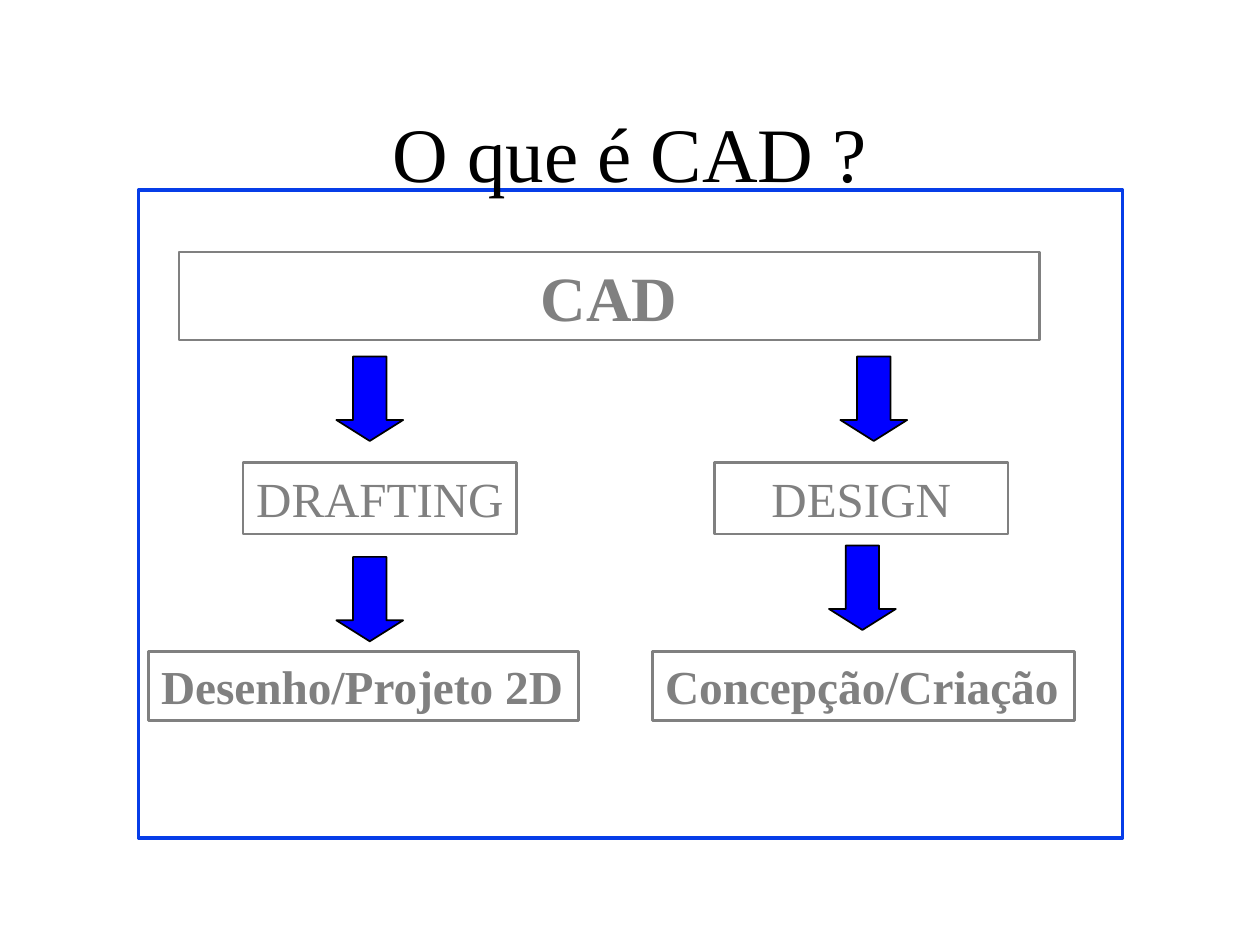
from dataclasses import dataclass

from pptx import Presentation
from pptx.dml.color import RGBColor
from pptx.enum.shapes import MSO_SHAPE
from pptx.enum.text import MSO_ANCHOR, MSO_AUTO_SIZE, PP_ALIGN
from pptx.util import Inches, Pt


@dataclass(frozen=True)
class Theme:
    font: str = "Times New Roman"
    black: RGBColor = RGBColor(0x00, 0x00, 0x00)
    gray: RGBColor = RGBColor(0x80, 0x80, 0x80)
    frame: RGBColor = RGBColor(0x06, 0x3D, 0xE8)
    arrow: RGBColor = RGBColor(0x00, 0x00, 0xFF)
    title_size: int = 44
    root_size: int = 36
    branch_size: int = 28
    detail_size: int = 27


THEME = Theme()


def set_line(shape, color, width):
    shape.line.color.rgb = color
    shape.line.width = Pt(width)


def add_text(page, bounds, text, size, color, bold=False,
             align=PP_ALIGN.CENTER, wrap=True):
    box = page.shapes.add_textbox(*map(Inches, bounds))
    frame = box.text_frame
    frame.word_wrap = wrap
    para = frame.paragraphs[0]
    para.alignment = align
    span = para.add_run()
    span.text = text
    span.font.name = THEME.font
    span.font.size = Pt(size)
    span.font.bold = bold
    span.font.color.rgb = color
    return box


def add_label(page, bounds, text, size, **style):
    """Add gray text in a gray outline that fits its text."""
    box = add_text(page, bounds, text, size, THEME.gray, **style)
    box.text_frame.auto_size = MSO_AUTO_SIZE.SHAPE_TO_FIT_TEXT
    set_line(box, THEME.gray, 1.5)


def add_frame(page):
    frame = page.shapes.add_shape(
        MSO_SHAPE.RECTANGLE, *map(Inches, (1.1, 1.51, 7.81, 5.14)))
    frame.shadow.inherit = False
    frame.fill.background()
    set_line(frame, THEME.frame, 2)


def add_down_arrow(page, left, top):
    arrow = page.shapes.add_shape(
        MSO_SHAPE.DOWN_ARROW, *map(Inches, (left, top, 0.53, 0.67)))
    arrow.adjustments[0] = 0.5
    arrow.adjustments[1] = 0.314
    arrow.shadow.inherit = False
    arrow.fill.solid()
    arrow.fill.fore_color.rgb = THEME.arrow
    set_line(arrow, THEME.black, 1)


def add_branch(page, name, name_span, detail, detail_span, arrows, wrap_name):
    """Add one column; each span is a left edge and a width."""
    left, width = name_span
    add_label(page, (left, 3.67, width, 0.57), name, THEME.branch_size,
              wrap=wrap_name)
    left, width = detail_span
    add_label(page, (left, 5.17, width, 0.55), detail, THEME.detail_size,
              bold=True, align=PP_ALIGN.LEFT, wrap=False)
    for position in arrows:
        add_down_arrow(page, *position)


def main():
    deck = Presentation()
    deck.slide_width, deck.slide_height = Inches(10), Inches(7.5)
    page = deck.slides.add_slide(deck.slide_layouts[6])

    add_frame(page)
    add_label(page, (1.42, 2, 6.83, 0.7), "CAD", THEME.root_size, bold=True)
    add_branch(page, "DESIGN", (5.67, 2.33), "Concepção/Criação", (5.18, 3.35),
               [(6.67, 2.83), (6.58, 4.33)], wrap_name=True)
    add_branch(page, "DRAFTING", (1.93, 2.17), "Desenho/Projeto 2D", (1.18, 3.41),
               [(2.67, 2.83), (2.67, 4.42)], wrap_name=False)
    title = add_text(page, (0.75, 0.58, 8.5, 1.25), "O que é CAD ?",
                     THEME.title_size, THEME.black)
    title.text_frame.vertical_anchor = MSO_ANCHOR.MIDDLE

    deck.save("out.pptx")


if __name__ == "__main__":
    main()
